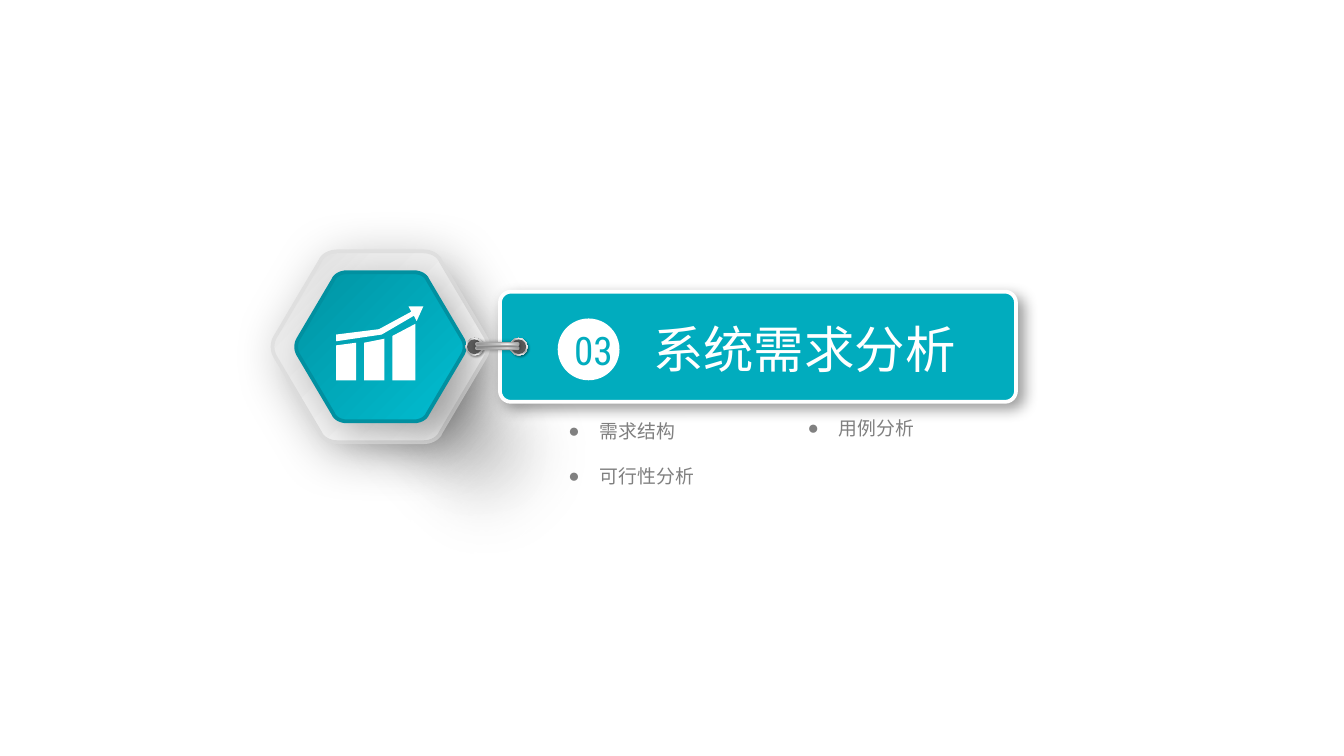
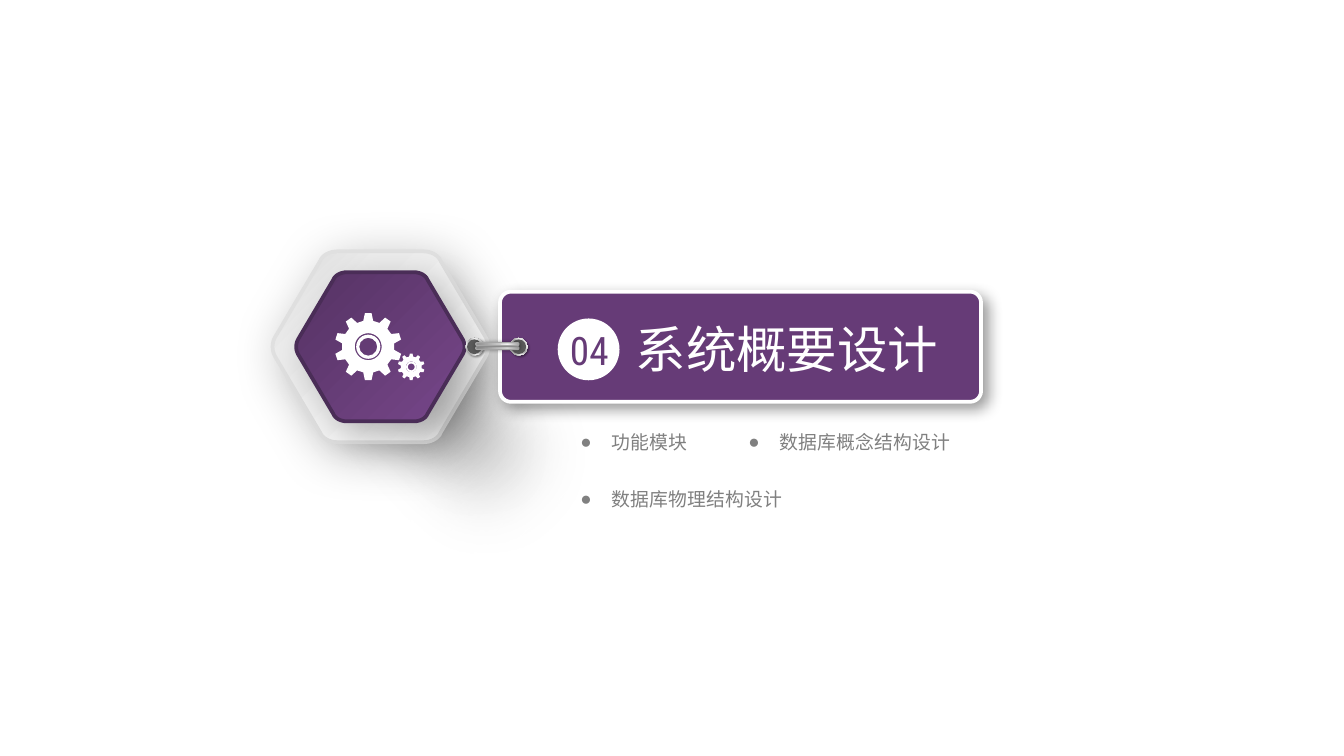
from dataclasses import dataclass
from math import cos, pi, sin
from typing import Callable, NamedTuple

from lxml.etree import SubElement
from pptx import Presentation
from pptx.dml.color import RGBColor
from pptx.enum.shapes import MSO_SHAPE
from pptx.enum.text import MSO_ANCHOR, MSO_AUTO_SIZE, PP_ALIGN
from pptx.oxml.ns import qn
from pptx.util import Inches, Pt


class Point(NamedTuple):
    x: float
    y: float


class Stop(NamedTuple):
    position: int
    color: str
    alpha: int = 100


class Shadow(NamedTuple):
    alpha: int
    blur: float
    distance: float
    angle: int


class TextStyle(NamedTuple):
    font: str
    size: float
    color: str
    align: PP_ALIGN = PP_ALIGN.LEFT
    bullet: str = ""
    wrap: bool = True


class Bullet(NamedTuple):
    left: float
    top: float
    width: float
    text: str


@dataclass(frozen=True)
class Theme:
    white: str = "FFFFFF"
    gray: str = "808080"
    hole: str = "595959"
    plate_rim: str = "E0E0E0"
    cjk_font: str = "Noto Sans CJK SC"
    number_font: str = "Roboto Condensed"
    bullet_font: str = "Arial"
    title_size: float = 27
    number_size: float = 21
    bullet_size: float = 10.13
    rim_width: float = 2
    glow_softness: float = 32
    bullet_indent: float = 0.23
    glow: tuple = (Stop(0, "000000", 61), Stop(37, "6C6C6C", 50), Stop(100, "D8D8D8", 0))
    plate: tuple = (Stop(0, "FFFFFF"), Stop(73, "ECECEC"), Stop(100, "D9D9D9"))
    eyelet: tuple = (Stop(0, "FFFFFF"), Stop(17, "A6A6A6"), Stop(35, "F2F2F2"),
                     Stop(55, "A6A6A6"), Stop(75, "F2F2F2"), Stop(100, "A6A6A6"))
    rod: tuple = (Stop(0, "808080"), Stop(23, "A6A6A6"), Stop(52, "D9D9D9"),
                  Stop(74, "FFFFFF"), Stop(100, "A6A6A6"))
    rod_rim: tuple = (Stop(0, "FFFFFF"), Stop(50, "A6A6A6"), Stop(100, "808080"))


class Accent(NamedTuple):
    main: str
    light: str
    dark: str
    rim_light: str
    rim_dark: str


@dataclass(frozen=True)
class Section:
    number: str
    number_left: float
    title: str
    accent: Accent
    banner_width: float
    draw_icon: Callable
    bullets: tuple


THEME = Theme()
TITLE = TextStyle(THEME.cjk_font, THEME.title_size, THEME.white, PP_ALIGN.CENTER)
ITEM = TextStyle(THEME.cjk_font, THEME.bullet_size, THEME.gray, bullet="●", wrap=False)
TEAL = Accent("01ACBE", "01BDD1", "0194A3", "01CFE5", "0190A0")
PURPLE = Accent("663B77", "77468A", "553363", "8F54A6", "4A2D57")

HEXAGON_CENTER = Point(2.83, 2.58)
BANNER_LEFT = 3.72
TITLE_LEFT = 4.41
CHAIN_Y = 2.58
EYELET_XS = (3.86, 3.53)
ROD_X = 3.7
ROD_YS = (2.59, 2.56)


def set_gradient(owner, fill, stops: tuple, angle: int) -> None:
    fill.background()
    empty_fill = owner.find(qn("a:noFill"))
    gradient = SubElement(owner, qn("a:gradFill"), rotWithShape="1")
    owner.replace(empty_fill, gradient)
    stop_list = SubElement(gradient, qn("a:gsLst"))
    for stop in stops:
        node = SubElement(stop_list, qn("a:gs"), pos=str(stop.position * 1000))
        color = SubElement(node, qn("a:srgbClr"), val=stop.color)
        if stop.alpha < 100:
            SubElement(color, qn("a:alpha"), val=str(stop.alpha * 1000))
    SubElement(gradient, qn("a:lin"), ang=str(angle * 60000), scaled="0")


def style(shape, fill, angle: int = 0, line=None, line_width: float = 2,
          shadow: Shadow | None = None, rotation: float = 0):
    shape.rotation = rotation
    properties = shape._element.spPr
    if isinstance(fill, str):
        shape.fill.solid()
        shape.fill.fore_color.rgb = RGBColor.from_string(fill)
    else:
        set_gradient(properties, shape.fill, fill, angle)
    if line is None:
        shape.line.fill.background()
    else:
        shape.line.width = Pt(line_width)
        if isinstance(line, str):
            shape.line.color.rgb = RGBColor.from_string(line)
        else:
            set_gradient(properties.find(qn("a:ln")), shape.line.fill, line, 45)
    shape.shadow.inherit = False
    if shadow:
        outer = SubElement(properties.find(qn("a:effectLst")), qn("a:outerShdw"),
                           blurRad=str(Pt(shadow.blur)), dist=str(Pt(shadow.distance)),
                           dir=str(shadow.angle * 60000), algn="ctr", rotWithShape="0")
        color = SubElement(outer, qn("a:srgbClr"), val="000000")
        SubElement(color, qn("a:alpha"), val=str(shadow.alpha * 1000))
    return shape


def add_centered(shapes, preset: MSO_SHAPE, center: Point, width: float, height: float):
    return shapes.add_shape(preset, Inches(center.x - width / 2), Inches(center.y - height / 2),
                            Inches(width), Inches(height))


def add_outline(shapes, *contours: list):
    scaled = [[(Inches(x), Inches(y)) for x, y in contour] for contour in contours]
    builder = shapes.build_freeform(*scaled[0][0])
    builder.add_line_segments(scaled[0][1:], close=True)
    for contour in scaled[1:]:
        builder.move_to(*contour[0])
        builder.add_line_segments(contour[1:], close=True)
    return builder.convert_to_shape()


def add_text(shapes, left: float, top: float, width: float, height: float,
             text: str, look: TextStyle) -> None:
    frame = shapes.add_textbox(Inches(left), Inches(top), Inches(width), Inches(height)).text_frame
    frame.word_wrap = look.wrap
    frame.auto_size = MSO_AUTO_SIZE.SHAPE_TO_FIT_TEXT
    frame.vertical_anchor = MSO_ANCHOR.MIDDLE
    paragraph = frame.paragraphs[0]
    paragraph.text = text
    paragraph.alignment = look.align
    paragraph.font.size = Pt(look.size)
    paragraph.font.color.rgb = RGBColor.from_string(look.color)
    paragraph.font.name = look.font
    properties = paragraph._p.pPr
    defaults = properties.find(qn("a:defRPr"))
    SubElement(defaults, qn("a:ea"), typeface=look.font)
    if look.bullet:
        indent = Inches(THEME.bullet_indent)
        properties.set("marL", str(indent))
        properties.set("indent", str(-indent))
        defaults.addprevious(SubElement(properties, qn("a:buFont"), typeface=THEME.bullet_font))
        defaults.addprevious(SubElement(properties, qn("a:buChar"), char=look.bullet))


def bezier(a: Point, b: Point, c: Point, d: Point, steps: int = 8) -> list:
    def blend(t: float, p: float, q: float, r: float, s: float) -> float:
        u = 1 - t
        return u**3 * p + 3 * u * u * t * q + 3 * u * t * t * r + t**3 * s

    return [Point(blend(i / steps, a.x, b.x, c.x, d.x), blend(i / steps, a.y, b.y, c.y, d.y))
            for i in range(steps + 1)]


def rounded_hexagon(center: Point, width: float, height: float) -> list:
    upper = bezier(Point(0.4, -1), Point(0.47, -1), Point(0.54, -0.96), Point(0.56, -0.9))
    side = bezier(Point(0.98, -0.1), Point(1.01, -0.04), Point(1.01, 0.04), Point(0.98, 0.1))
    right = upper + side + [Point(p.x, -p.y) for p in reversed(upper)]
    unit = right + [Point(-p.x, -p.y) for p in right]
    return [Point(center.x + p.x * width / 2, center.y + p.y * height / 2) for p in unit]


def polar(center: Point, radius: float, angle: float) -> Point:
    return Point(center.x + radius * cos(angle), center.y + radius * sin(angle))


def draw_gear(shapes, center: Point, radius: float, hole: float,
              ring: float, ring_share: float, teeth: int = 10) -> None:
    profile = ((-0.19, 0.78), (-0.1, 1), (0.1, 1), (0.19, 0.78))
    rim = [polar(center, radius * share, 2 * pi * tooth / teeth - pi / 2 + offset)
           for tooth in range(teeth) for offset, share in profile]
    bore = [polar(center, hole, -2 * pi * i / 36) for i in range(36)]
    style(add_outline(shapes, rim, bore), THEME.white)
    hub = add_centered(shapes, MSO_SHAPE.DONUT, center, 2 * ring, 2 * ring)
    hub.adjustments[0] = ring_share
    style(hub, THEME.white)


def draw_gears_icon(shapes) -> None:
    draw_gear(shapes, Point(3.06, 2.73), 0.1, 0.04, 0.04, 0.18)
    draw_gear(shapes, Point(2.74, 2.58), 0.25, 0.1, 0.09, 0.13)


def draw_growth_icon(shapes) -> None:
    arrow = [(3.04, 2.28), (3.06, 2.32), (2.82, 2.45), (2.5, 2.49), (2.5, 2.54),
             (2.84, 2.49), (3.08, 2.35), (3.1, 2.39), (3.15, 2.28)]
    style(add_outline(shapes, arrow), THEME.white)
    base = 2.83
    for left, right, left_top, right_top in ((2.92, 3.09, 2.5, 2.41), (2.71, 2.86, 2.55, 2.52),
                                             (2.5, 2.65, 2.57, 2.55)):
        bar = [(left, base), (right, base), (right, right_top), (left, left_top)]
        style(add_outline(shapes, bar), THEME.white)


def draw_glow(shapes, center: Point, width: float, height: float) -> None:
    glow = add_centered(shapes, MSO_SHAPE.ROUNDED_RECTANGLE, center, width, height)
    glow.adjustments[0] = 0.5
    style(glow, THEME.glow, rotation=46)
    effects = glow._element.spPr.find(qn("a:effectLst"))
    SubElement(effects, qn("a:softEdge"), rad=str(Pt(THEME.glow_softness)))


def draw_hexagons(shapes, accent: Accent) -> None:
    draw_glow(shapes, Point(3.32, 3.07), 2.83, 1.95)
    style(add_outline(shapes, rounded_hexagon(HEXAGON_CENTER, 1.6, 1.42)), THEME.plate, 45,
          THEME.plate_rim, THEME.rim_width, Shadow(28, 28, 7, 45), 180)
    draw_glow(shapes, Point(3.28, 3.03), 2.4, 1.57)
    rim = (Stop(0, accent.rim_light), Stop(50, accent.rim_dark), Stop(100, accent.rim_dark))
    style(add_outline(shapes, rounded_hexagon(HEXAGON_CENTER, 1.25, 1.11)),
          (Stop(0, accent.light), Stop(100, accent.dark)), 45,
          rim, THEME.rim_width, Shadow(25, 20, 9, 45), 180)


def draw_chain(slide) -> None:
    for x in EYELET_XS:
        eyelet = slide.shapes.add_group_shape().shapes
        center = Point(x, CHAIN_Y)
        style(add_centered(eyelet, MSO_SHAPE.OVAL, center, 0.13, 0.13), THEME.eyelet, 45,
              shadow=Shadow(40, 1, 1, 45), rotation=270)
        style(add_centered(eyelet, MSO_SHAPE.OVAL, center, 0.11, 0.11), THEME.hole, rotation=270)
    link = slide.shapes.add_group_shape().shapes
    for y in ROD_YS:
        rod = add_centered(link, MSO_SHAPE.ROUNDED_RECTANGLE, Point(ROD_X, y), 0.02, 0.32)
        rod.adjustments[0] = 0.5
        style(rod, THEME.rod, 90, THEME.rod_rim, 0.75, Shadow(40, 2, 0, 0), 270)


def draw_section(slide, section: Section) -> None:
    accent = section.accent
    draw_hexagons(slide.shapes.add_group_shape().shapes, accent)
    banner = slide.shapes.add_shape(MSO_SHAPE.ROUNDED_RECTANGLE, Inches(BANNER_LEFT), Inches(2.17),
                                    Inches(section.banner_width), Inches(0.82))
    banner.adjustments[0] = 0.1
    style(banner, accent.main, line=THEME.white, line_width=THEME.rim_width,
          shadow=Shadow(40, 8, 4, 45))
    draw_chain(slide)
    badge = slide.shapes.add_group_shape().shapes
    style(add_centered(badge, MSO_SHAPE.OVAL, Point(4.38, 2.6), 0.46, 0.46), THEME.white)
    number_style = TextStyle(THEME.number_font, THEME.number_size, accent.main, PP_ALIGN.CENTER)
    add_text(badge, section.number_left, 2.38, 0.57, 0.45, section.number, number_style)
    section.draw_icon(slide.shapes.add_group_shape().shapes)
    title_width = BANNER_LEFT + section.banner_width - TITLE_LEFT
    add_text(slide.shapes, TITLE_LEFT, 2.31, title_width, 0.56, section.title, TITLE)
    for bullet in section.bullets:
        add_text(slide.shapes, bullet.left, bullet.top, bullet.width, 0.27, bullet.text, ITEM)


SECTIONS = (
    Section("03", 4.13, "系统需求分析", TEAL, 3.84, draw_growth_icon,
            (Bullet(4.13, 3.07, 1.01, "需求结构"), Bullet(5.91, 3.05, 1.01, "用例分析"),
             Bullet(4.13, 3.41, 1.15, "可行性分析"))),
    Section("04", 4.1, "系统概要设计", PURPLE, 3.58, draw_gears_icon,
            (Bullet(4.22, 3.15, 1.01, "功能模块"), Bullet(5.47, 3.15, 1.72, "数据库概念结构设计"),
             Bullet(4.22, 3.58, 1.72, "数据库物理结构设计"))),
)


def main() -> None:
    presentation = Presentation()
    presentation.slide_width = Inches(10)
    presentation.slide_height = Inches(10 * 9 / 16)
    for section in SECTIONS:
        draw_section(presentation.slides.add_slide(presentation.slide_layouts[6]), section)
    presentation.save("out.pptx")


if __name__ == "__main__":
    main()
